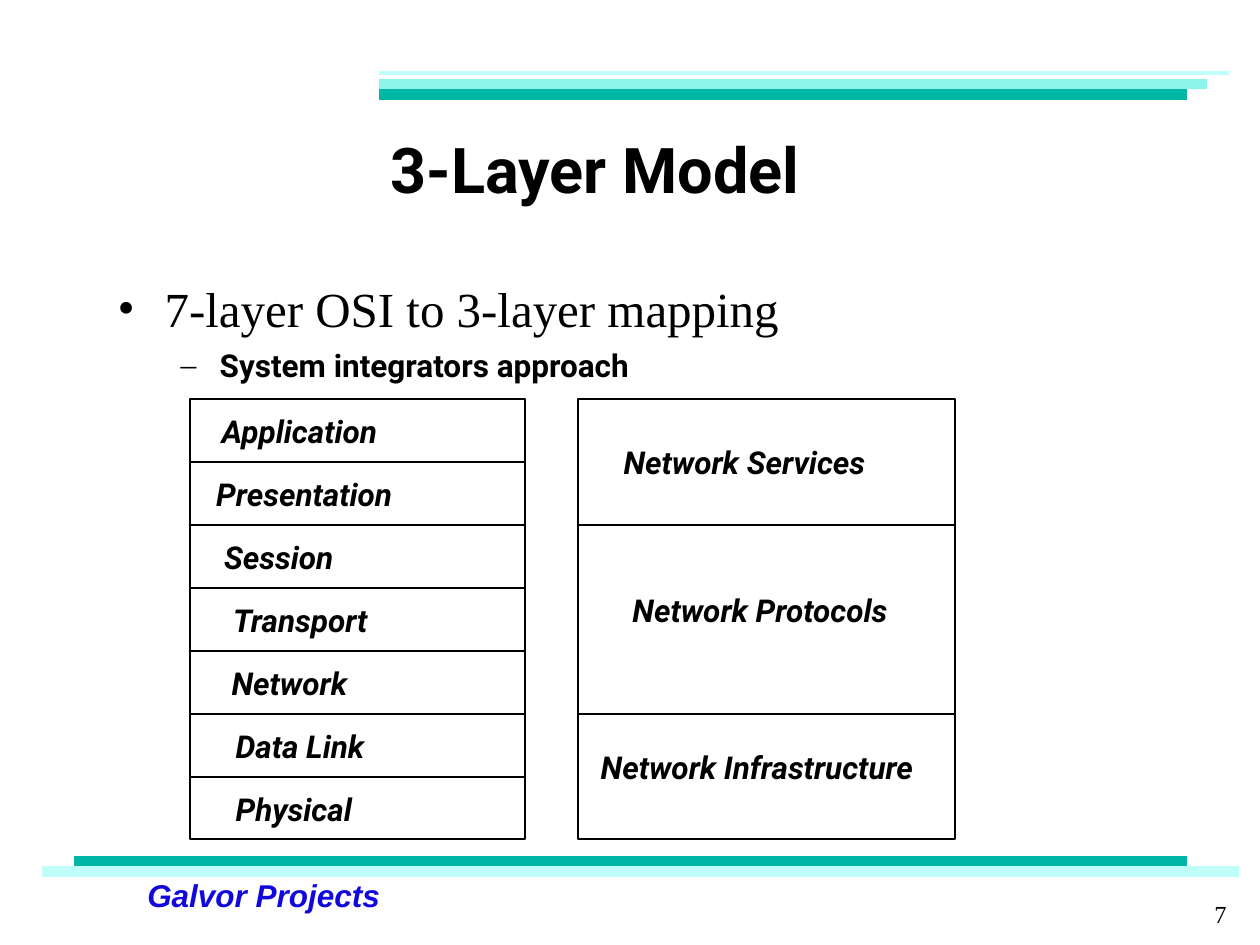
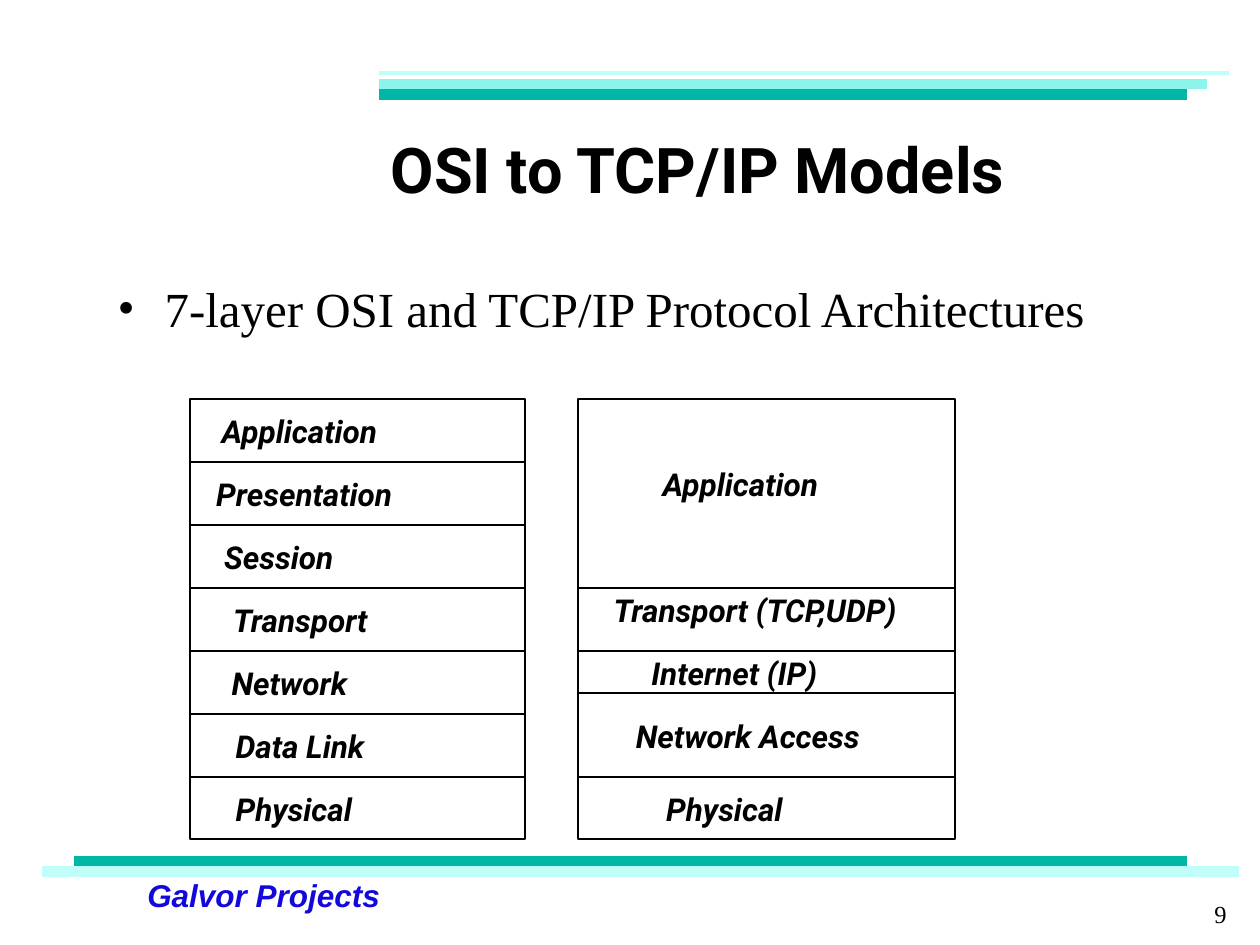
from itertools import accumulate

from lxml.etree import SubElement
from pptx import Presentation
from pptx.dml.color import RGBColor
from pptx.enum.shapes import MSO_CONNECTOR as CONN, MSO_SHAPE as SHAPE
from pptx.enum.text import MSO_ANCHOR as ANCHOR, MSO_AUTO_SIZE as AUTO, PP_ALIGN as ALIGN
from pptx.oxml.ns import qn
from pptx.util import Cm, Pt

# Colours
BLACK = RGBColor(0x00, 0x00, 0x00)
WHITE = RGBColor(0xFF, 0xFF, 0xFF)
TEAL = RGBColor(0x00, 0xB7, 0xA5)
AQUA = RGBColor(0x8C, 0xF4, 0xEA)
PALE = RGBColor(0xC0, 0xFE, 0xF9)
BLUE = RGBColor(0x12, 0x08, 0xDC)

# Text formats
TITLE = dict(name="Roboto", size=Pt(36), bold=True)
POINT = dict(name="Times New Roman", size=Pt(28))
SUBPOINT = dict(name="Roboto", size=Pt(18), bold=True)
LABEL = dict(name="Roboto", size=Pt(18), bold=True, italic=True)
FOOTER = dict(name="Arial", size=Pt(18), bold=True, italic=True)
NUMBER = dict(name="Times New Roman", size=Pt(14))

# Bullet levels: format, sign, left margin, hanging indent, space before
LEVELS = [
    (POINT, "•", Cm(0.95), Cm(-0.95), Pt(7)),
    (SUBPOINT, "–", Cm(2.06), Cm(-0.79), Pt(4.5)),
]

# Bands: left, right, y (cm), colour, width (pt)
BANDS = [
    (7.65, 24.77, 1.47, PALE, 2),
    (7.65, 24.34, 1.69, AQUA, 6),
    (7.65, 23.92, 1.9, TEAL, 6),
    (1.49, 23.92, 17.36, TEAL, 6),
    (1.06, 24.34, 17.57, AQUA, 4),
    (0.85, 24.98, 17.57, PALE, 6),
]

# Layer stacks (cm)
STACK_TOP, STACK_H, LAYER_H = 8.05, 8.87, 1.27
OSI_BOX = (3.83, 6.75)
MAPPED_BOX = (11.66, 7.6)

# Rows: layers spanned, label, label left, label width, label drop in the row
OSI_ROWS = [
    (1, "Application", 4.22, 3.94, 0.13),
    (1, "Presentation", 4.11, 4.39, 0.13),
    (1, "Session", 4.27, 2.74, 0.13),
    (1, "Transport", 4.45, 3.45, 0.13),
    (1, "Network", 4.42, 3.1, 0.13),
    (1, "Data Link", 4.5, 3.38, 0.13),
    (1, "Physical", 4.5, 2.97, 0.13),
]
THREE_LAYER_ROWS = [
    (2, "Network Services", 12.32, 5.72, 0.76),
    (3, "Network Protocols", 12.5, 6.1, 1.19),
    (2, "Network Infrastructure", 11.86, 8.2, 0.56),
]
TCP_IP_ROWS = [
    (3, "Application", 13.11, 3.94, 1.19),
    (1, "Transport (TCP,UDP)", 12.12, 6.6, -0.08),
    (2 / 3, "Internet (IP)", 12.88, 4.24, -0.08),
    (4 / 3, "Network Access", 12.57, 5.23, 0.36),
    (1, "Physical", 13.18, 2.97, 0.13),
]


class Deck:
    def __init__(self):
        self.prs = Presentation()
        self.prs.slide_width, self.prs.slide_height = Cm(25.4), Cm(19.05)
        self.s = None

    def add_text(self, p, text, fmt, color=BLACK):
        r = p.add_run()
        r.text = text
        for key, value in fmt.items():
            setattr(r.font, key, value)
        r.font.color.rgb = color

    def frame(self, x, y, w, h, **props):
        tf = self.s.shapes.add_textbox(Cm(x), Cm(y), Cm(w), Cm(h)).text_frame
        for key, value in props.items():
            setattr(tf, key, value)
        return tf

    def label(self, text, x, y, w, fmt=LABEL, color=BLACK):
        tf = self.frame(x, y, w, 1.02, word_wrap=False, auto_size=AUTO.SHAPE_TO_FIT_TEXT)
        self.add_text(tf.paragraphs[0], text, fmt, color)

    def line(self, x1, x2, y, color=BLACK, width=1):
        c = self.s.shapes.add_connector(CONN.STRAIGHT, Cm(x1), Cm(y), Cm(x2), Cm(y))
        c.line.color.rgb = color
        c.line.width = Pt(width)
        SubElement(c.element.spPr, qn("a:effectLst"))

    def title(self, text):
        sp = self.s.shapes.title
        place = dict(left=Cm(7.62), top=Cm(2.33), width=Cm(17.15), height=Cm(2.12))
        for key, value in place.items():
            setattr(sp, key, value)
        tf = sp.text_frame
        tf.auto_size, tf.vertical_anchor = AUTO.NONE, ANCHOR.MIDDLE
        p = tf.paragraphs[0]
        p.alignment = ALIGN.LEFT
        self.add_text(p, text, TITLE)

    def slide(self, title, number):
        self.s = self.prs.slides.add_slide(self.prs.slide_layouts[5])
        for band in BANDS:
            self.line(*band)
        self.label("Galvor Projects", 2.72, 17.53, 5.38, FOOTER, BLUE)
        self.title(title)
        tf = self.frame(22.44, 17.78, 2.54, 1.27, word_wrap=True, vertical_anchor=ANCHOR.MIDDLE)
        p = tf.paragraphs[0]
        p.alignment = ALIGN.RIGHT
        self.add_text(p, str(number), NUMBER)

    def bullets(self, *texts):
        tf = self.frame(2.12, 5.5, 22.65, 11.22, word_wrap=True)
        for level, text in enumerate(texts):
            fmt, sign, margin, indent, before = LEVELS[level]
            p = tf.add_paragraph() if level else tf.paragraphs[0]
            p.level, p.space_before = level, before
            pPr = p._p.get_or_add_pPr()
            pPr.set("marL", str(margin))
            pPr.set("indent", str(indent))
            SubElement(pPr, qn("a:buFont"), typeface="Times New Roman")
            SubElement(pPr, qn("a:buChar"), char=sign)
            self.add_text(p, text, fmt)

    def stack(self, box, rows):
        x, w = box
        sp = self.s.shapes.add_shape(SHAPE.RECTANGLE, Cm(x), Cm(STACK_TOP), Cm(w), Cm(STACK_H))
        sp.shadow.inherit = False
        sp.fill.solid()
        sp.fill.fore_color.rgb = WHITE
        sp.line.color.rgb = BLACK
        sp.line.width = Pt(1)
        starts = accumulate((row[0] for row in rows), initial=0)
        for start, (_, text, left, width, drop) in zip(starts, rows):
            y = STACK_TOP + start * LAYER_H
            if start:
                self.line(x, x + w, y)
            self.label(text, left, y + drop, width)


def main():
    deck = Deck()

    # OSI layers beside the three-layer model
    deck.slide("3-Layer Model", 7)
    deck.bullets("7-layer OSI to 3-layer mapping", "System integrators approach")
    deck.stack(OSI_BOX, OSI_ROWS)
    deck.stack(MAPPED_BOX, THREE_LAYER_ROWS)

    # OSI layers beside the TCP/IP layers
    deck.slide("OSI to TCP/IP Models", 9)
    deck.bullets("7-layer OSI and TCP/IP Protocol Architectures")
    deck.stack(OSI_BOX, OSI_ROWS)
    deck.stack(MAPPED_BOX, TCP_IP_ROWS)

    deck.prs.save("out.pptx")


if __name__ == "__main__":
    main()
